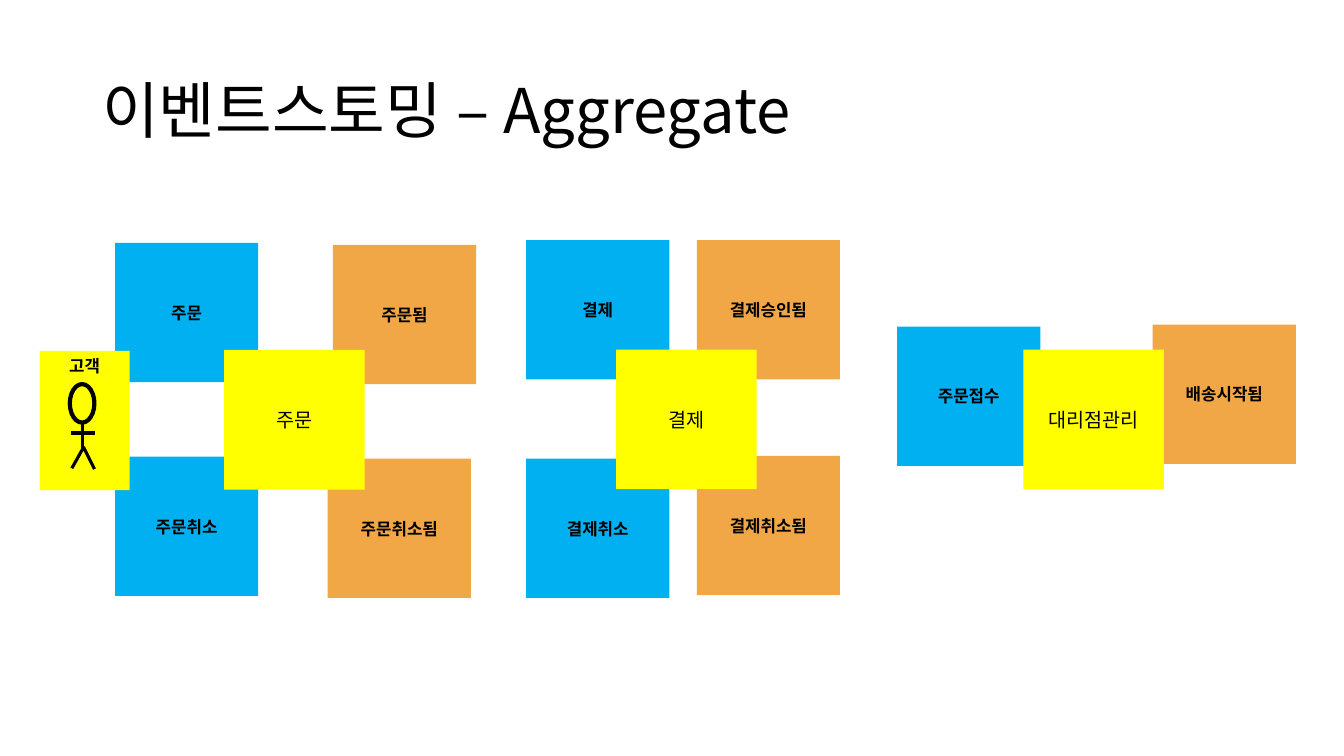
from pptx import Presentation
from pptx.dml.color import RGBColor
from pptx.enum.shapes import MSO_CONNECTOR as LINE, MSO_SHAPE as SHAPE
from pptx.enum.text import MSO_ANCHOR as ANCHOR, PP_ALIGN as ALIGN
from pptx.oxml.ns import qn
from pptx.util import Cm, Pt
from lxml.etree import SubElement

BLACK = RGBColor(0x00, 0x00, 0x00)
COMMAND_BLUE = RGBColor(0x00, 0xB0, 0xF0)
EVENT_ORANGE = RGBColor(0xF1, 0xA7, 0x46)
YELLOW = RGBColor(0xFF, 0xFF, 0x00)
FONT = "Noto Sans CJK KR"

NOTE_SIZE = (3.61, 3.51)
AGGREGATE_SIZE = (3.54, 3.52)
NOTE_FORMAT = {"size": Pt(12), "bold": True}
AGGREGATE_FORMAT = {"size": Pt(14), "bold": False}
TITLE_FORMAT = {"size": Pt(44), "bold": False}

# Each aggregate: origin, then (label, offset from the origin), in cm
ORDER = {
    "origin": (2.9, 6.12),
    "events": [("주문됨", (5.49, 0.05)), ("주문취소됨", (5.36, 5.44))],
    "commands": [("주문", (0, 0)), ("주문취소", (0, 5.39))],
    "aggregate": ("주문", (2.75, 2.7)),
}
PAYMENT = {
    "origin": (13.26, 6.05),
    "events": [("결제승인됨", (4.3, 0)), ("결제취소됨", (4.3, 5.44))],
    "commands": [("결제", (0, 0)), ("결제취소", (0, 5.51))],
    "aggregate": ("결제", (2.27, 2.76)),
}
STORE = {
    "origin": (22.61, 8.23),
    "events": [("배송시작됨", (6.44, -0.05))],
    "commands": [("주문접수", (0, 0))],
    "aggregate": ("대리점관리", (3.18, 0.58)),
}


def write(shape, text, text_format, align, anchor):
    frame = shape.text_frame
    frame.word_wrap = True
    frame.vertical_anchor = anchor
    paragraph = frame.paragraphs[0]
    paragraph.alignment = align
    run = paragraph.add_run()
    run.text = text
    for attribute, value in {"name": FONT, **text_format}.items():
        setattr(run.font, attribute, value)
    run.font.color.rgb = BLACK
    # Korean glyphs take the East Asian typeface
    SubElement(run.font._element, qn("a:ea"), typeface=FONT)
    return paragraph


def add_note(shapes, text, position, size, color, text_format, anchor=ANCHOR.MIDDLE):
    note = shapes.add_shape(SHAPE.RECTANGLE, *map(Cm, position + size))
    note.shadow.inherit = False
    note.fill.solid()
    note.fill.fore_color.rgb = color
    note.line.fill.background()
    write(note, text, text_format, ALIGN.CENTER, anchor)


def add_title(slide, left, top, width, height):
    title = slide.shapes.add_textbox(Cm(left), Cm(top), Cm(width), Cm(height))
    heading = write(title, "이벤트스토밍 – Aggregate", TITLE_FORMAT, ALIGN.LEFT, ANCHOR.MIDDLE)
    heading.line_spacing = 0.9


def add_aggregate(slide, content):
    left, top = content["origin"]

    def place(label, offset, size, color, text_format):
        position = (left + offset[0], top + offset[1])
        add_note(slide.shapes, label, position, size, color, text_format)

    for kind, color in (("events", EVENT_ORANGE), ("commands", COMMAND_BLUE)):
        for label, offset in content[kind]:
            place(label, offset, NOTE_SIZE, color, NOTE_FORMAT)
    # The aggregate lies over its commands and events
    place(*content["aggregate"], AGGREGATE_SIZE, YELLOW, AGGREGATE_FORMAT)


def add_customer(slide, left, top, width, height):
    customer = slide.shapes.add_group_shape().shapes
    add_note(customer, "고객", (left, top), (width, height), YELLOW, NOTE_FORMAT, ANCHOR.TOP)

    # Head
    head = customer.add_shape(SHAPE.OVAL, Cm(left + 0.76), Cm(top + 0.84), Cm(0.62), Cm(0.97))
    head.shadow.inherit = False
    head.fill.background()
    head.line.color.rgb = BLACK
    head.line.width = Pt(3)

    # Arms, body, left leg, right leg
    limbs = [
        (0.79, 2.07, 1.4, 2.07),
        (1.07, 1.81, 1.07, 2.52),
        (1.09, 2.46, 0.81, 2.96),
        (1.1, 2.42, 1.38, 2.98),
    ]
    for x1, y1, x2, y2 in limbs:
        limb = customer.add_connector(
            LINE.STRAIGHT, Cm(left + x1), Cm(top + y1), Cm(left + x2), Cm(top + y2))
        limb.line.color.rgb = BLACK
        limb.line.width = Pt(2.25)
        SubElement(limb._element.spPr, qn("a:effectLst"))


def main():
    deck = Presentation()
    deck.slide_width, deck.slide_height = Cm(33.87), Cm(19.05)
    slide = deck.slides.add_slide(deck.slide_layouts[6])
    add_title(slide, 2.33, 1.01, 29.21, 3.68)
    for content in (ORDER, PAYMENT, STORE):
        add_aggregate(slide, content)
    add_customer(slide, 1, 8.84, 2.27, 3.51)
    deck.save("out.pptx")


if __name__ == "__main__":
    main()
